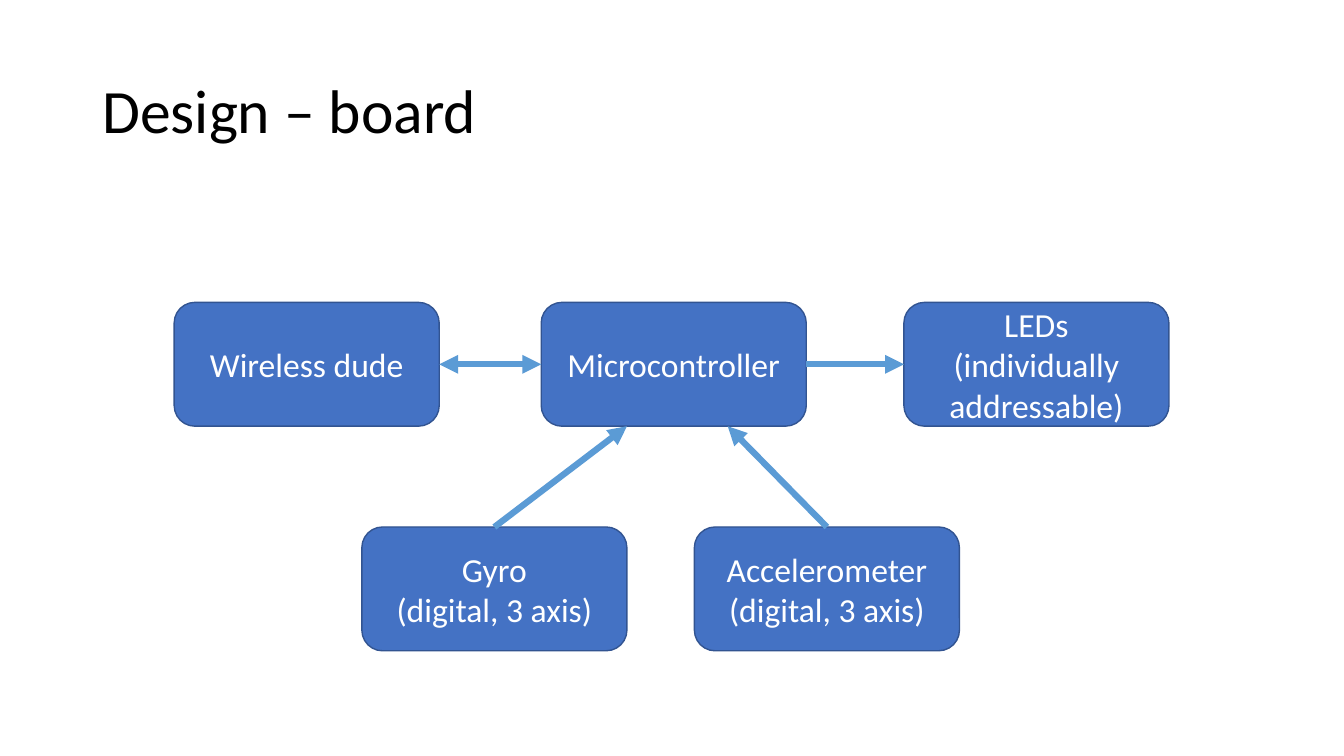
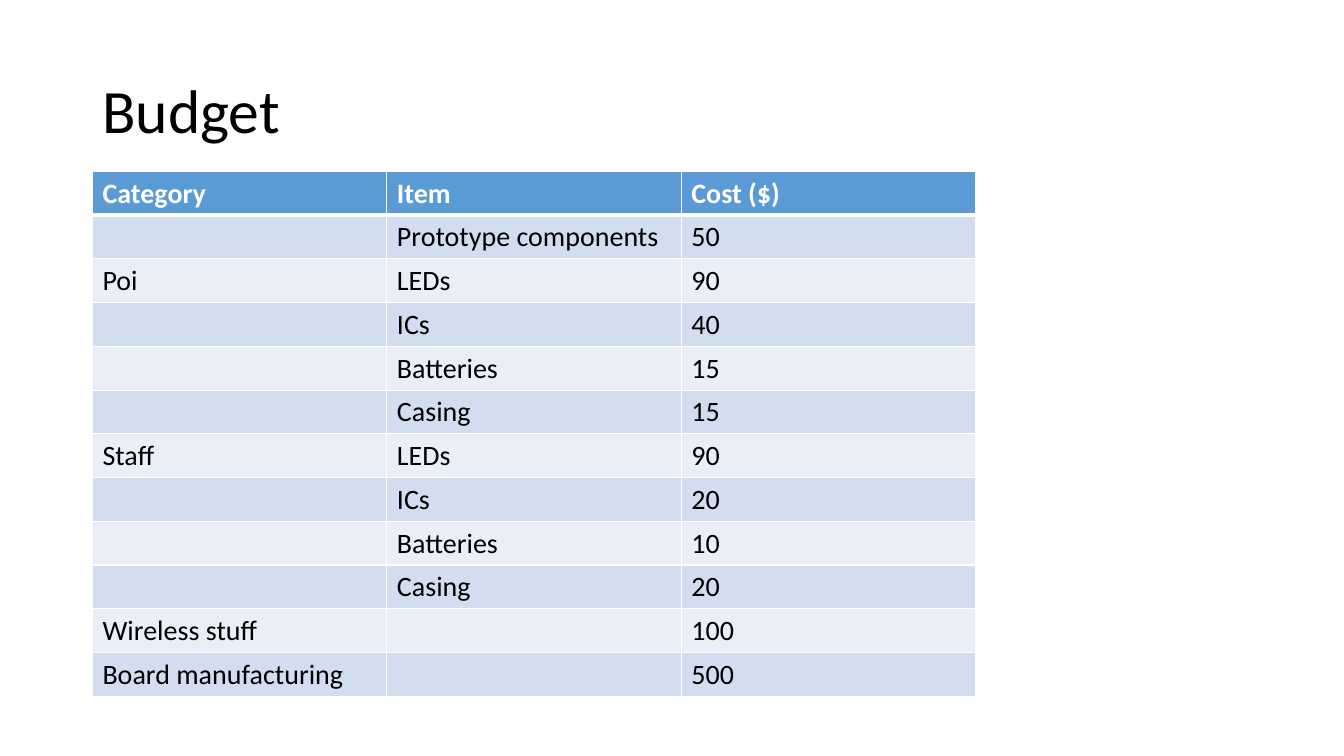
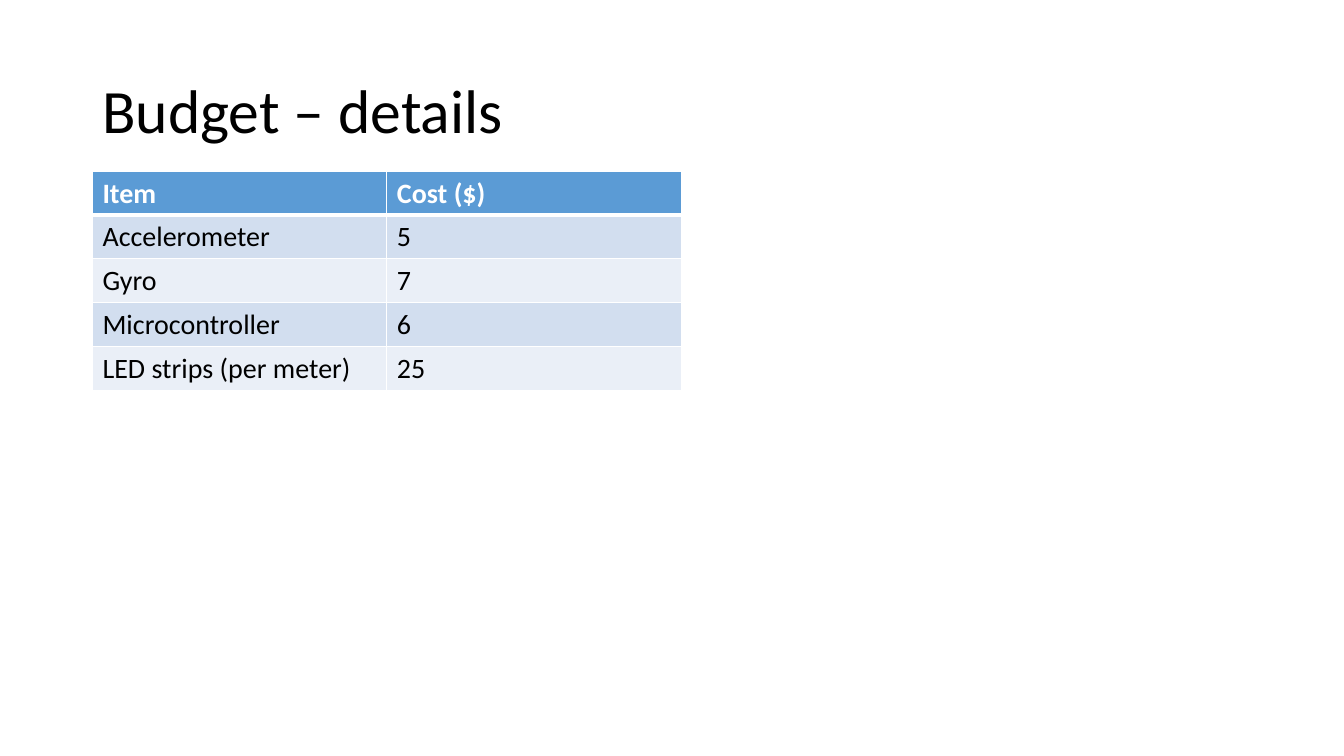
from lxml import etree
from pptx import Presentation
from pptx.dml.color import RGBColor
from pptx.enum.shapes import MSO_CONNECTOR, MSO_SHAPE
from pptx.enum.text import MSO_ANCHOR, PP_ALIGN
from pptx.oxml.ns import qn
from pptx.util import Cm, Pt

STRAIGHT = MSO_CONNECTOR.STRAIGHT
ROUNDED = MSO_SHAPE.ROUNDED_RECTANGLE
MIDDLE = MSO_ANCHOR.MIDDLE
LEFT, CENTER = PP_ALIGN.LEFT, PP_ALIGN.CENTER

BLACK = RGBColor(0x00, 0x00, 0x00)
WHITE = RGBColor(0xFF, 0xFF, 0xFF)
BOX_FILL = RGBColor(0x44, 0x72, 0xC4)
BOX_LINE = RGBColor(0x32, 0x54, 0x91)
ACCENT = RGBColor(0x5B, 0x9B, 0xD5)
BANDS = (RGBColor(0xEA, 0xEF, 0xF7), RGBColor(0xD2, 0xDE, 0xEF))

FONT = "Calibri"
MARGIN = Cm(2.33)
BOX_WIDTH, BOX_HEIGHT = Cm(6.68), Cm(3.12)
TABLE_TOP, COLUMN_WIDTH, ROW_HEIGHT = Cm(4.32), Cm(7.42), Cm(1.1)


class Deck:
    def __init__(self):
        self.prs = Presentation()
        self.prs.slide_width, self.prs.slide_height = Cm(33.87), Cm(19.05)
        self.shapes = None

    def add_slide(self, title):
        self.shapes = self.prs.slides.add_slide(self.prs.slide_layouts[6]).shapes
        frame = self.shapes.add_textbox(MARGIN, Cm(1.01), Cm(29.21), Cm(3.68)).text_frame
        frame.word_wrap = True
        frame.vertical_anchor = MIDDLE
        self.add_lines(frame, [title], 44, BLACK)
        frame.paragraphs[0].line_spacing = 0.9

    def add_lines(self, frame, lines, size, color, align=LEFT, bold=False):
        for number, line in enumerate(lines):
            paragraph = frame.add_paragraph() if number else frame.paragraphs[0]
            paragraph.alignment = align
            run = paragraph.add_run()
            run.text = line
            run.font.name = FONT
            run.font.size = Pt(size)
            run.font.bold = bold
            run.font.color.rgb = color

    def box(self, left, top, *lines):
        shape = self.shapes.add_shape(ROUNDED, left, top, BOX_WIDTH, BOX_HEIGHT)
        shape.shadow.inherit = False
        shape.fill.solid()
        shape.fill.fore_color.rgb = BOX_FILL
        shape.line.color.rgb = BOX_LINE
        shape.line.width = Pt(1)
        shape.text_frame.word_wrap = True
        shape.text_frame.vertical_anchor = MIDDLE
        self.add_lines(shape.text_frame, lines, 24, WHITE, CENTER)
        return shape

    def arrow(self, start, end, both_ends=False):
        connector = self.shapes.add_connector(STRAIGHT, *start, *end)
        connector.line.color.rgb = ACCENT
        connector.line.width = Pt(4.5)
        properties = connector._element.spPr
        line = properties.find(qn("a:ln"))
        for tag in ("a:headEnd", "a:tailEnd") if both_ends else ("a:tailEnd",):
            etree.SubElement(line, qn(tag), type="triangle")
        etree.SubElement(properties, qn("a:effectLst"))

    def table(self, rows):
        columns = len(rows[0])
        table = self.shapes.add_table(
            len(rows), columns, MARGIN, TABLE_TOP,
            COLUMN_WIDTH * columns, ROW_HEIGHT * len(rows)).table
        table.horz_banding = False
        for column in table.columns:
            column.width = COLUMN_WIDTH
        for r, values in enumerate(rows):
            table.rows[r].height = ROW_HEIGHT
            header = r == 0
            for c, value in enumerate(values):
                cell = table.cell(r, c)
                cell.fill.solid()
                cell.fill.fore_color.rgb = ACCENT if header else BANDS[r % 2]
                self.borders(cell, top=3 if r == 1 else 1, bottom=3 if header else 1)
                if value:
                    self.add_lines(cell.text_frame, [value], 20,
                                   WHITE if header else BLACK, bold=header)

    def borders(self, cell, top, bottom):
        properties = cell._tc.get_or_add_tcPr()
        widths = {"a:lnL": 1, "a:lnR": 1, "a:lnT": top, "a:lnB": bottom}
        for position, (tag, width) in enumerate(widths.items()):
            line = etree.Element(qn(tag), w=str(Pt(width)))
            fill = etree.SubElement(line, qn("a:solidFill"))
            etree.SubElement(fill, qn("a:srgbClr"), val=str(WHITE))
            properties.insert(position, line)


def left_side(shape):
    return shape.left, shape.top + shape.height // 2


def right_side(shape):
    return shape.left + shape.width, shape.top + shape.height // 2


def top_side(shape):
    return shape.left + shape.width // 2, shape.top


deck = Deck()

# Board design
deck.add_slide("Design – board")
main_row, sensor_row = Cm(7.62), Cm(13.28)
controller = deck.box(Cm(13.64), main_row, "Microcontroller")
gyro = deck.box(Cm(9.12), sensor_row, "Gyro", "(digital, 3 axis)")
accelerometer = deck.box(Cm(17.5), sensor_row, "Accelerometer", "(digital, 3 axis)")
leds = deck.box(Cm(22.78), main_row, "LEDs", "(individually addressable)")
wireless = deck.box(Cm(4.39), main_row, "Wireless dude")

controller_bottom = main_row + BOX_HEIGHT
deck.arrow(top_side(gyro), (Cm(15.8), controller_bottom))
deck.arrow(top_side(accelerometer), (Cm(18.34), controller_bottom))
deck.arrow(right_side(controller), left_side(leds))
deck.arrow(right_side(wireless), left_side(controller), both_ends=True)

# Budget
deck.add_slide("Budget")
deck.table([
    ("Category", "Item", "Cost ($)"),
    ("", "Prototype components", "50"),
    ("Poi", "LEDs", "90"),
    ("", "ICs", "40"),
    ("", "Batteries", "15"),
    ("", "Casing", "15"),
    ("Staff", "LEDs", "90"),
    ("", "ICs", "20"),
    ("", "Batteries", "10"),
    ("", "Casing", "20"),
    ("Wireless stuff", "", "100"),
    ("Board manufacturing", "", "500"),
])

# Budget details
deck.add_slide("Budget – details")
deck.table([
    ("Item", "Cost ($)"),
    ("Accelerometer", "5"),
    ("Gyro", "7"),
    ("Microcontroller", "6"),
    ("LED strips (per meter)", "25"),
])

deck.prs.save("out.pptx")
